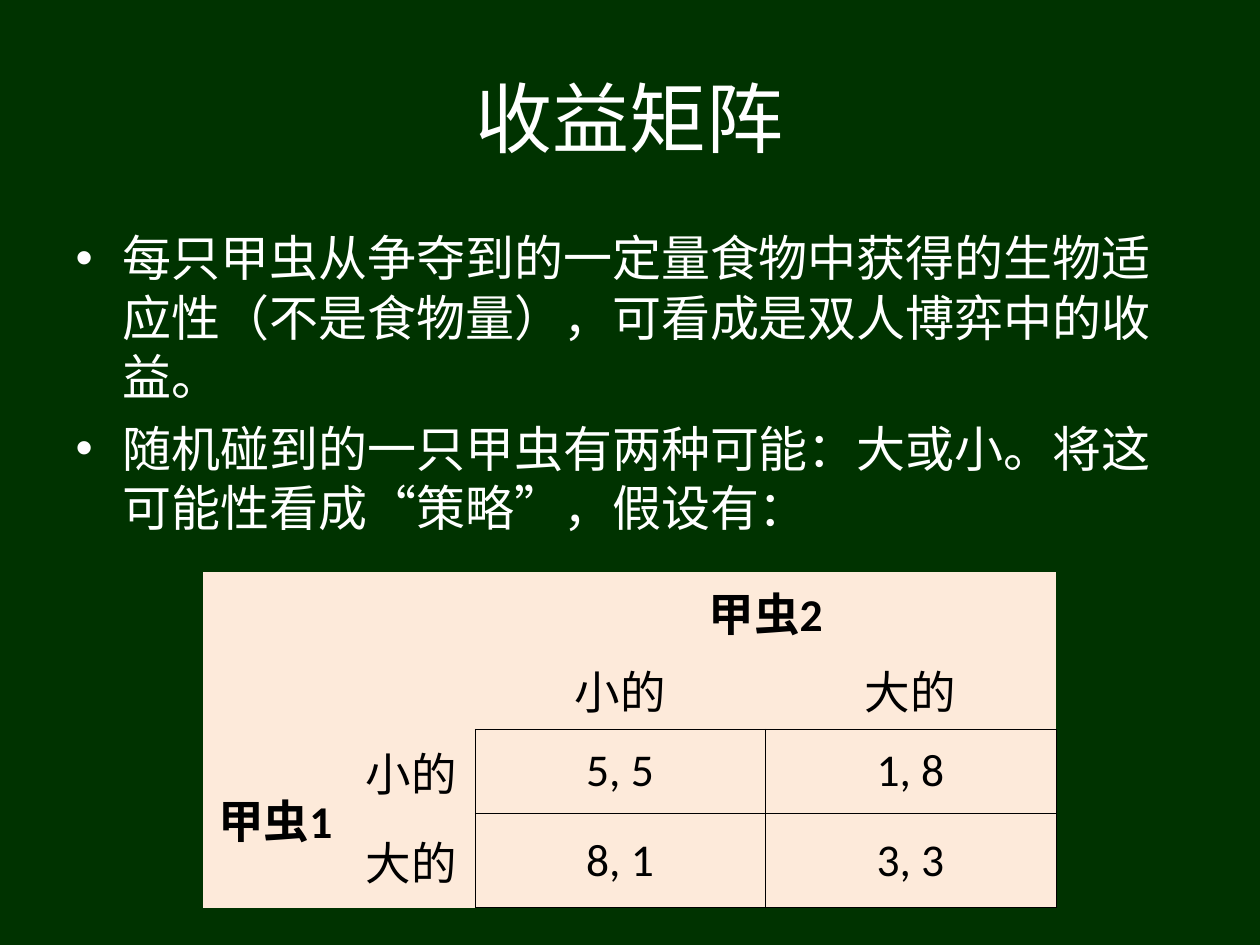
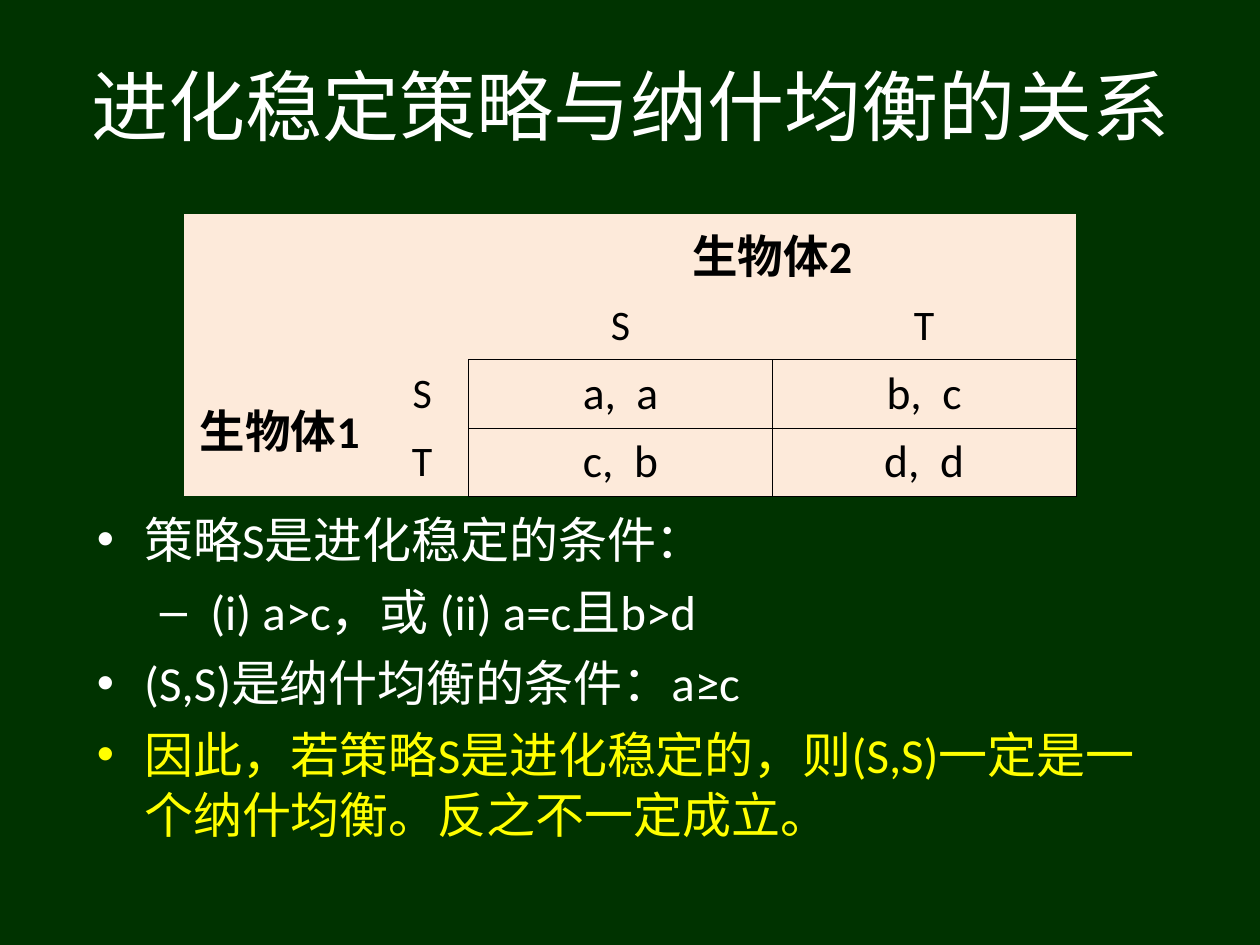
"""Build two slides on payoff matrices and evolutionarily stable strategies."""
from dataclasses import dataclass

from lxml.etree import SubElement
from pptx import Presentation
from pptx.dml.color import RGBColor
from pptx.enum.lang import MSO_LANGUAGE_ID
from pptx.enum.text import MSO_ANCHOR, MSO_AUTO_SIZE, PP_ALIGN
from pptx.oxml.ns import qn
from pptx.util import Cm, Pt

DARK_GREEN = RGBColor(0x00, 0x33, 0x00)
CREAM = RGBColor(0xFD, 0xEA, 0xDA)
WHITE = RGBColor(0xFF, 0xFF, 0xFF)
YELLOW = RGBColor(0xFF, 0xFF, 0x00)
BLACK = RGBColor(0x00, 0x00, 0x00)
LATIN_FONT = "Calibri"
CHINESE_FONT = "Noto Sans CJK SC"
BORDER_WIDTH = Pt(0.45)


@dataclass(frozen=True)
class Box:
    left: float
    top: float
    width: float
    height: float


@dataclass(frozen=True)
class Bullet:
    text: str
    level: int = 0
    color: RGBColor = WHITE


@dataclass(frozen=True)
class PayoffMatrix:
    left: float
    top: float
    columns: tuple[float, ...]
    rows: tuple[float, ...]
    player: str
    strategies: tuple[str, str]
    payoffs: tuple[tuple[str, str], tuple[str, str]]
    label_size: int


@dataclass(frozen=True)
class GameSlide:
    title: str
    title_box: Box
    bullets: tuple[Bullet, ...]
    bullet_box: Box
    bullet_font: str
    matrix: PayoffMatrix


GAME_SLIDES = (
    GameSlide(
        "收益矩阵",
        Box(1.27, 0.76, 22.86, 3.18),
        (
            Bullet("每只甲虫从争夺到的一定量食物中获得的生物适应性（不是食物量），可看成是双人博弈中的收益。"),
            Bullet("随机碰到的一只甲虫有两种可能：大或小。将这可能性看成“策略”，假设有："),
        ),
        Box(1.27, 4.45, 22.86, 6.88),
        CHINESE_FONT,
        PayoffMatrix(
            4.09, 11.53, (2.92, 2.57, 5.84, 5.87), (1.35, 1.35, 1.7, 1.9),
            "甲虫", ("小的", "大的"), (("5, 5", "1, 8"), ("8, 1", "3, 3")), 26,
        ),
    ),
    GameSlide(
        "进化稳定策略与纳什均衡的关系",
        Box(1.3, 0.53, 22.86, 3.18),
        (
            Bullet("策略S是进化稳定的条件："),
            Bullet(" (i) a>c，或 (ii) a=c且b>d", level=1),
            Bullet("(S,S)是纳什均衡的条件：a≥c"),
            Bullet("因此，若策略S是进化稳定的，则(S,S)一定是一个纳什均衡。反之不一定成立。", color=YELLOW),
        ),
        Box(1.7, 10.13, 22.4, 8.2),
        LATIN_FONT,
        PayoffMatrix(
            3.71, 4.32, (3.86, 1.88, 6.12, 6.12), (1.35, 1.35, 1.35, 1.37),
            "生物体", ("S", "T"), (("a,  a", "b,  c"), ("c,  b", "d,  d")), 24,
        ),
    ),
)


def add_run(paragraph, text: str, size: float, color: RGBColor,
            font_name: str = LATIN_FONT, bold: bool = False) -> None:
    run = paragraph.add_run()
    run.text = text
    font = run.font
    font.size = Pt(size)
    font.bold = bold
    font.color.rgb = color
    font.name = font_name
    font.language_id = MSO_LANGUAGE_ID.SIMPLIFIED_CHINESE
    SubElement(font._element, qn("a:ea"), typeface=CHINESE_FONT)


def place(shape, box: Box) -> None:
    shape.left, shape.top = Cm(box.left), Cm(box.top)
    shape.width, shape.height = Cm(box.width), Cm(box.height)
    shape.text_frame.auto_size = MSO_AUTO_SIZE.NONE


def fill_title(shape, text: str, box: Box) -> None:
    place(shape, box)
    shape.text_frame.vertical_anchor = MSO_ANCHOR.MIDDLE
    paragraph = shape.text_frame.paragraphs[0]
    paragraph.alignment = PP_ALIGN.CENTER
    add_run(paragraph, text, 44, WHITE, CHINESE_FONT)


def fill_bullets(shape, bullets: tuple[Bullet, ...], box: Box, font_name: str) -> None:
    place(shape, box)
    frame = shape.text_frame
    for index, bullet in enumerate(bullets):
        paragraph = frame.add_paragraph() if index else frame.paragraphs[0]
        paragraph.level = bullet.level
        paragraph.line_spacing = Pt(34)
        paragraph.space_before = Pt(7 if index else 0)
        add_run(paragraph, bullet.text, 28, bullet.color, font_name)


def set_borders(cell, sides: str) -> None:
    properties = cell._tc.get_or_add_tcPr()
    for side in "LRTB":
        line = SubElement(properties, qn(f"a:ln{side}"), w=str(BORDER_WIDTH))
        if side in sides:
            fill = SubElement(line, qn("a:solidFill"))
            SubElement(fill, qn("a:srgbClr"), val=str(BLACK))
        else:
            SubElement(line, qn("a:noFill"))


def border_sides(row: int, column: int) -> str:
    if row >= 2 and column >= 2:
        return "LRTB"
    if row == 1 and column >= 2:
        return "B"
    return "R" if row >= 2 and column == 1 else ""


def write_cell(cell, text: str, size: float, bold: bool = False) -> None:
    cell.vertical_anchor = MSO_ANCHOR.MIDDLE
    paragraph = cell.text_frame.paragraphs[0]
    paragraph.alignment = PP_ALIGN.CENTER
    add_run(paragraph, text, size, BLACK, bold=bold)


def add_matrix(slide, matrix: PayoffMatrix) -> None:
    table = slide.shapes.add_table(
        len(matrix.rows), len(matrix.columns), Cm(matrix.left), Cm(matrix.top),
        Cm(sum(matrix.columns)), Cm(sum(matrix.rows)),
    ).table
    table.first_row = table.horz_banding = False
    for column, width in zip(table.columns, matrix.columns):
        column.width = Cm(width)
    for row_index, height in enumerate(matrix.rows):
        table.rows[row_index].height = Cm(height)
        for column_index in range(len(matrix.columns)):
            cell = table.cell(row_index, column_index)
            set_borders(cell, border_sides(row_index, column_index))
            cell.fill.solid()
            cell.fill.fore_color.rgb = CREAM
    table.cell(0, 2).merge(table.cell(0, 3))
    table.cell(2, 0).merge(table.cell(3, 0))
    write_cell(table.cell(0, 2), f"{matrix.player}2", 26, bold=True)
    write_cell(table.cell(2, 0), f"{matrix.player}1", 26, bold=True)
    for index, (strategy, payoffs) in enumerate(zip(matrix.strategies, matrix.payoffs), start=2):
        write_cell(table.cell(1, index), strategy, matrix.label_size)
        write_cell(table.cell(index, 1), strategy, matrix.label_size)
        for column_index, payoff in enumerate(payoffs, start=2):
            write_cell(table.cell(index, column_index), payoff, 26)


def main() -> None:
    presentation = Presentation()
    presentation.slide_width, presentation.slide_height = Cm(25.4), Cm(19.05)
    background = presentation.slide_master.background.fill
    background.solid()
    background.fore_color.rgb = DARK_GREEN
    for game in GAME_SLIDES:
        slide = presentation.slides.add_slide(presentation.slide_layouts[1])
        fill_title(slide.shapes.title, game.title, game.title_box)
        fill_bullets(slide.placeholders[1], game.bullets, game.bullet_box, game.bullet_font)
        add_matrix(slide, game.matrix)
    presentation.save("out.pptx")


if __name__ == "__main__":
    main()
